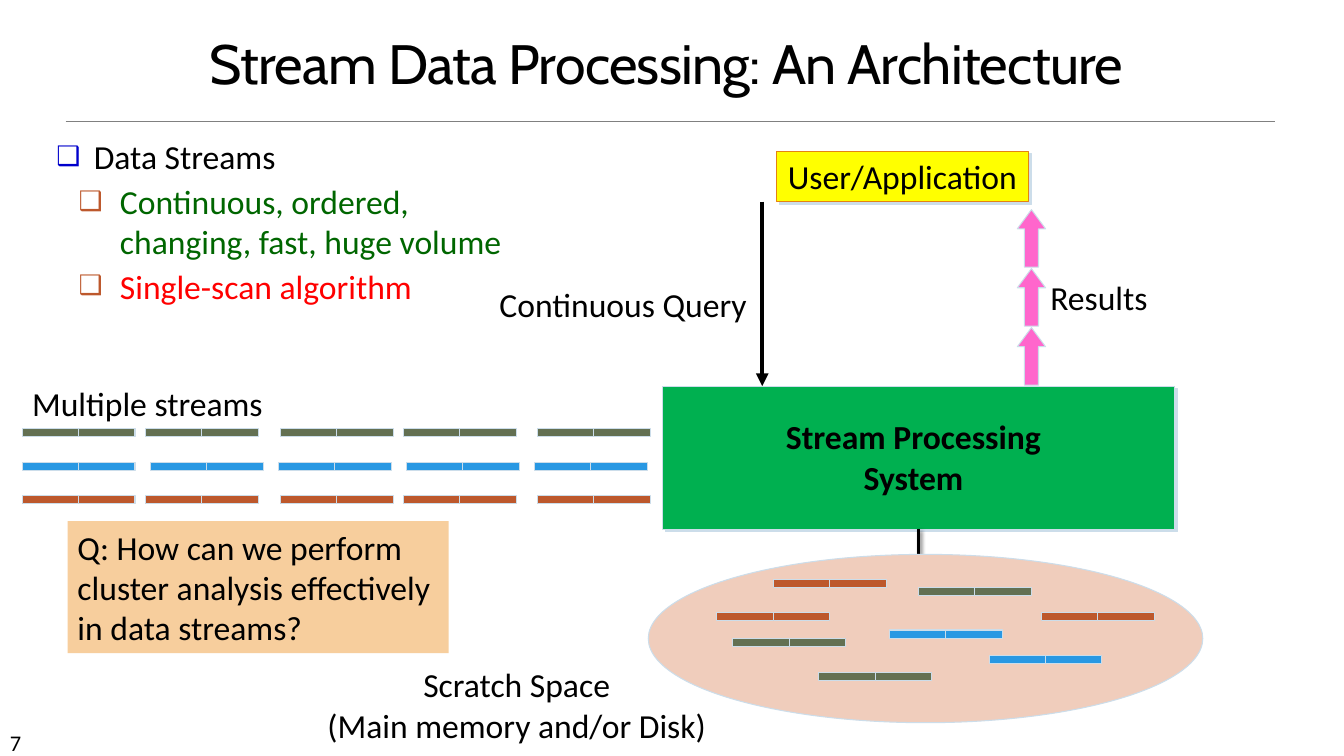
from dataclasses import dataclass

from lxml import etree
from pptx import Presentation
from pptx.dml.color import RGBColor
from pptx.enum.shapes import MSO_CONNECTOR, MSO_SHAPE
from pptx.enum.text import MSO_ANCHOR, MSO_AUTO_SIZE, PP_ALIGN
from pptx.oxml.ns import qn
from pptx.util import Inches, Pt

RECTANGLE = MSO_SHAPE.RECTANGLE
ELLIPSE = MSO_SHAPE.OVAL
UP_ARROW = MSO_SHAPE.UP_ARROW
STRAIGHT = MSO_CONNECTOR.STRAIGHT
LEFT, CENTER = PP_ALIGN.LEFT, PP_ALIGN.CENTER
BOTTOM_SIDE = 2


@dataclass(frozen=True)
class Theme:
    heading_font: str = "Cabin"
    body_font: str = "Calibri"
    title_size: float = 39.6
    body_size: float = 24
    number_size: float = 16
    ink: str = "000000"
    rule: str = "808080"
    outline: str = "CCDDEA"
    olive: str = "637052"
    blue: str = "2998E3"
    rust: str = "BD582C"
    yellow: str = "FFFF00"
    orange: str = "E48312"
    green: str = "00B050"
    pink: str = "FF66CC"
    scratch: str = "F0CDBC"
    question: str = "F7CE9D"
    bullet: str = "0000CC"
    dark_green: str = "006600"
    red: str = "FF0000"


THEME = Theme()


@dataclass(frozen=True)
class Area:
    left: float
    top: float
    width: float
    height: float

    def lengths(self) -> tuple:
        return tuple(Inches(v) for v in (self.left, self.top, self.width, self.height))


@dataclass(frozen=True)
class Label:
    area: Area
    lines: tuple
    align: PP_ALIGN = CENTER
    size: float = THEME.body_size
    bold: bool = False
    wrap: bool = False


@dataclass(frozen=True)
class Bullet:
    text: str
    level: int
    color: str
    mark: str
    margin: float
    hanging: float


@dataclass(frozen=True)
class Packet:
    left: float
    top: float
    color: str


STREAM_STARTS = (0.22, 1.44, 2.78, 4, 5.33)
BLUE_STARTS = tuple(0.22 + 1.27 * i for i in range(5))
STREAMS = ((THEME.olive, STREAM_STARTS), (THEME.blue, BLUE_STARTS), (THEME.rust, STREAM_STARTS))
STORED_PACKETS = (
    Packet(9.81, 6.5, THEME.blue),
    Packet(8.12, 6.67, THEME.olive),
    Packet(7.27, 6.33, THEME.olive),
    Packet(8.82, 6.25, THEME.blue),
    Packet(7.11, 6.08, THEME.rust),
    Packet(9.11, 5.83, THEME.olive),
    Packet(7.67, 5.75, THEME.rust),
    Packet(10.33, 6.08, THEME.rust),
)
LABELS = (
    Label(Area(0, 7.18, 1.17, 0.3), ("7",), LEFT, THEME.number_size),
    Label(Area(3.13, 6.54, 3.99, 0.91), ("Scratch Space", "(Main memory and/or Disk)")),
    Label(Area(4.65, 2.77, 3.06, 0.51), ("Continuous Query",), wrap=True),
    Label(Area(0.22, 3.75, 2.51, 0.5), ("Multiple streams",), LEFT),
    Label(Area(7.68, 4.08, 2.76, 0.91), ("Stream Processing", "System"), bold=True),
    Label(Area(9.7, 2.7, 2.4, 0.5), ("Results",), wrap=True),
)
BULLETS = (
    Bullet("Data Streams", 0, THEME.ink, THEME.bullet, 0.37, 0.37),
    Bullet("Continuous, ordered, changing, fast, huge volume", 1, THEME.dark_green, THEME.rust, 0.63, 0.41),
    Bullet("Single-scan algorithm", 1, THEME.red, THEME.rust, 0.63, 0.41),
)


def rgb(color: str) -> RGBColor:
    return RGBColor.from_string(color)


def add_span(para, text: str, size: float = THEME.body_size, color: str = THEME.ink,
             font: str = THEME.body_font, bold: bool = False):
    span = para.add_run()
    span.text = text
    span.font.name, span.font.size, span.font.bold = font, Pt(size), bold
    span.font.color.rgb = rgb(color)
    return span


def write_lines(frame, label: Label) -> None:
    frame.word_wrap = label.wrap
    for index, line in enumerate(label.lines):
        para = frame.add_paragraph() if index else frame.paragraphs[0]
        para.alignment = label.align
        add_span(para, line, label.size, bold=label.bold)


def add_label(page, label: Label) -> None:
    write_lines(page.shapes.add_textbox(*label.area.lengths()).text_frame, label)


def add_shadow(properties, color: str, alpha: int, blur: float, distance: float) -> None:
    for old in properties.findall(qn("a:effectLst")):
        properties.remove(old)
    effects = etree.SubElement(properties, qn("a:effectLst"))
    shadow = etree.SubElement(effects, qn("a:outerShdw"), blurRad=str(Pt(blur)),
                              dist=str(Pt(distance)), dir="2700000", algn="ctr", rotWithShape="0")
    tint = etree.SubElement(shadow, qn("a:srgbClr"), val=color)
    etree.SubElement(tint, qn("a:alpha"), val=str(alpha * 1000))


def add_box(page, kind, area: Area, fill: str, outline: str | None = THEME.outline, raised: bool = False):
    box = page.shapes.add_shape(kind, *area.lengths())
    box.shadow.inherit = False
    box.fill.solid()
    box.fill.fore_color.rgb = rgb(fill)
    if outline:
        box.line.color.rgb = rgb(outline)
        box.line.width = Pt(0.75)
    else:
        box.line.fill.background()
    if raised:
        add_shadow(box._element.spPr, THEME.outline, 100, 0, 2.8)
    return box


def add_line(page, start: tuple, end: tuple, color: str, width: float, arrow: bool = False):
    line = page.shapes.add_connector(STRAIGHT, *(Inches(v) for v in start + end))
    line.line.color.rgb = rgb(color)
    line.line.width = Pt(width)
    if arrow:
        etree.SubElement(line.line._get_or_add_ln(), qn("a:tailEnd"), type="triangle")
    etree.SubElement(line._element.spPr, qn("a:effectLst"))
    return line


def add_packet(page, packet: Packet) -> None:
    for half in range(2):
        add_box(page, RECTANGLE, Area(packet.left + 0.56 * half, packet.top, 0.56, 0.08), packet.color)


def place(holder, area: Area, anchor: MSO_ANCHOR):
    holder.left, holder.top, holder.width, holder.height = area.lengths()
    frame = holder.text_frame
    frame.auto_size = MSO_AUTO_SIZE.NONE
    frame.word_wrap = True
    frame.vertical_anchor = anchor
    return frame


def fill_title(page) -> None:
    para = place(page.shapes.title, Area(0.11, 0.33, 13, 0.67), MSO_ANCHOR.BOTTOM).paragraphs[0]
    para.alignment = CENTER
    para.line_spacing = 0.85
    span = add_span(para, "Stream Data Processing: An Architecture", THEME.title_size, font=THEME.heading_font)
    span.font._element.set("spc", "-50")


def fill_bullets(page) -> None:
    frame = place(page.placeholders[1], Area(0.46, 1.3, 4.7, 1.75), MSO_ANCHOR.TOP)
    for index, item in enumerate(BULLETS):
        para = frame.add_paragraph() if index else frame.paragraphs[0]
        para.level = item.level
        para.alignment = LEFT
        para.space_before = Pt(3 if index else 0)
        properties = para._p.get_or_add_pPr()
        properties.set("marL", str(Inches(item.margin)))
        properties.set("indent", str(-Inches(item.hanging)))
        tint = etree.SubElement(properties, qn("a:buClr"))
        etree.SubElement(tint, qn("a:srgbClr"), val=item.mark)
        etree.SubElement(properties, qn("a:buSzPct"), val="80000")
        etree.SubElement(properties, qn("a:buChar"), char="❑")
        add_span(para, item.text, color=item.color)


def main() -> None:
    deck = Presentation()
    deck.slide_width, deck.slide_height = Inches(13.33), Inches(7.5)
    page = deck.slides.add_slide(deck.slide_layouts[1])
    fill_title(page)
    fill_bullets(page)
    add_line(page, (0.65, 1.2), (12.65, 1.2), THEME.rule, 0.5)

    user = Label(Area(7.7, 1.5, 2.5, 0.5), ("User/Application",))
    user_box = add_box(page, RECTANGLE, user.area, THEME.yellow, THEME.orange, raised=True)
    write_lines(user_box.text_frame, user)
    add_line(page, (7.56, 2), (7.56, 3.83), THEME.ink, 3, arrow=True)

    system = add_box(page, RECTANGLE, Area(6.57, 3.83, 5.08, 1.42), THEME.green, raised=True)
    store_arrow = add_line(page, (9.11, 5.25), (9.11, 6.25), THEME.ink, 2, arrow=True)
    store_arrow.begin_connect(system, BOTTOM_SIDE)
    add_shadow(store_arrow._element.spPr, THEME.ink, 60, 3, 2)
    add_box(page, ELLIPSE, Area(6.43, 5.5, 5.5, 1.67), THEME.scratch)

    for step in range(3):
        arrow = add_box(page, UP_ARROW, Area(10.09, 2.08 + 0.585 * step, 0.28, 0.57), THEME.pink)
        arrow.adjustments[0], arrow.adjustments[1] = 0.5, 0.68
    for row, (color, starts) in enumerate(STREAMS):
        for left in starts:
            add_packet(page, Packet(left, 4.25 + 0.335 * row, color))
    for packet in STORED_PACKETS:
        add_packet(page, packet)

    question = Label(Area(0.67, 5.17, 3.78, 1.31),
                     ("Q: How can we perform cluster analysis effectively in data streams?",), LEFT, wrap=True)
    write_lines(add_box(page, RECTANGLE, question.area, THEME.question, None).text_frame, question)
    for label in LABELS:
        add_label(page, label)
    deck.save("out.pptx")


if __name__ == "__main__":
    main()
